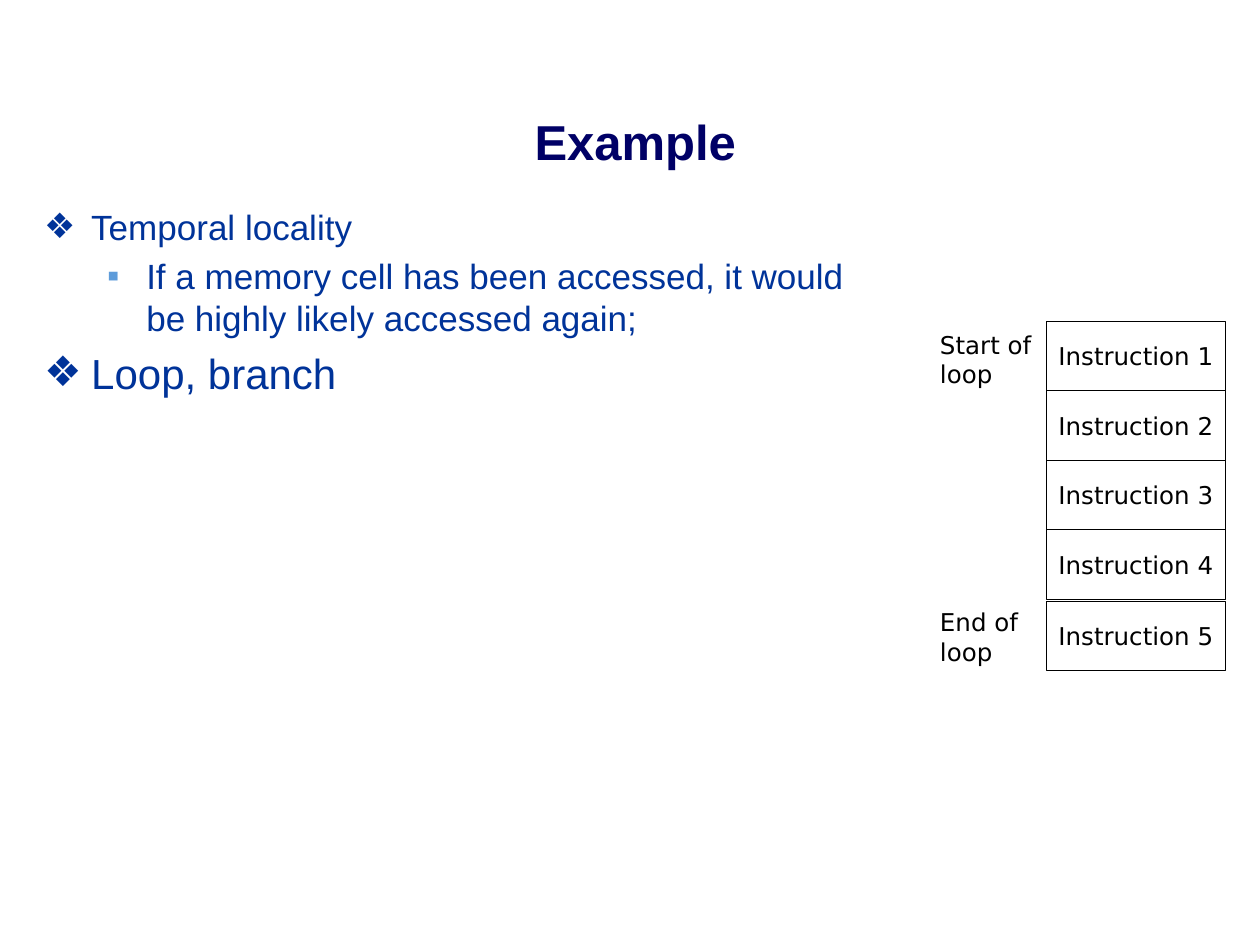
from lxml.etree import SubElement as Sub
from pptx import Presentation
from pptx.dml.color import RGBColor as Rgb
from pptx.enum.shapes import MSO_SHAPE as Shape
from pptx.enum.text import MSO_ANCHOR as Anchor, PP_ALIGN as Align
from pptx.oxml.ns import qn
from pptx.util import Cm, Pt

HUES = {"title": "000066", "body": "003399", "mark": "5E9CDA", "ink": "000000"}


def style(par, size, hue, face="Arial", bold=False):
    for run in par.runs:
        font = run.font
        font.size, font.name, font.bold = Pt(size), face, bold
        font.color.rgb = Rgb.from_string(HUES[hue])


def add_box(slide, left, top, width, height):
    box = slide.shapes.add_textbox(Cm(left), Cm(top), Cm(width), Cm(height))
    box.text_frame.word_wrap = True
    return box.text_frame


def add_mark(par, char, hue, left, hang):
    props = par._p.get_or_add_pPr()
    props.set("marL", str(Cm(left)))
    props.set("indent", str(-Cm(hang)))
    Sub(Sub(props, qn("a:buClr")), qn("a:srgbClr"), val=HUES[hue])
    Sub(props, qn("a:buFont"), typeface="Arial")
    Sub(props, qn("a:buChar"), char=char)


def add_title(slide, left, top, width, height):
    frame = add_box(slide, left, top, width, height)
    frame.vertical_anchor = Anchor.MIDDLE
    par = frame.paragraphs[0]
    par.text = "Example"
    par.alignment = Align.CENTER
    style(par, 28, "title", bold=True)


def add_body(slide, left, top, width, height):
    frame = add_box(slide, left, top, width, height)
    items = [
        ("Temporal locality", 0, 20),
        ("If a memory cell has been accessed, it would be highly likely accessed again;", 1, 20),
        ("Loop, branch", 0, 24),
    ]
    marks = [("❖", "body", 0.95, 0.95), ("▪", "mark", 2.06, 0.79)]
    for i, (text, level, size) in enumerate(items):
        par = frame.add_paragraph() if i else frame.paragraphs[0]
        par.text = text
        par.level = level
        if i:
            par.space_before = Pt(size * 0.2)
        add_mark(par, *marks[level])
        style(par, size, "body")


def add_cell(slide, text, left, top, width, height):
    cell = slide.shapes.add_shape(Shape.RECTANGLE, Cm(left), Cm(top), Cm(width), Cm(height))
    cell.shadow.inherit = False
    cell.fill.background()
    cell.line.color.rgb = Rgb.from_string(HUES["ink"])
    cell.line.width = Pt(0.75)
    frame = cell.text_frame
    frame.word_wrap = False
    frame.vertical_anchor = Anchor.MIDDLE
    par = frame.paragraphs[0]
    par.text = text
    par.alignment = Align.CENTER
    style(par, 14, "ink", "DejaVu Sans")


def add_label(slide, text, left, top, width, height):
    par = add_box(slide, left, top, width, height).paragraphs[0]
    par.text = text
    style(par, 14, "ink", "DejaVu Sans")


def add_loop(slide, left, top, width, height):
    count, side, gap = 5, 2.4, 0.04
    step = (height - gap) / count
    last = top + height - step
    for i in range(count):
        y = last if i == count - 1 else top + i * step
        add_cell(slide, f"Instruction {i + 1}", left + side, y, width - side, step)
    add_label(slide, "Start of loop", left, top + gap, side, step)
    add_label(slide, "End of loop", left, last, side, step)


def main():
    deck = Presentation()
    deck.slide_width, deck.slide_height = Cm(25.4), Cm(19.05)
    slide = deck.slides.add_slide(deck.slide_layouts[6])
    add_title(slide, 0.64, 2.11, 24.33, 1.45)
    add_body(slide, 0.64, 4.02, 17.15, 13)
    add_loop(slide, 18.7, 6.48, 6, 7.04)
    deck.save("out.pptx")


if __name__ == "__main__":
    main()
